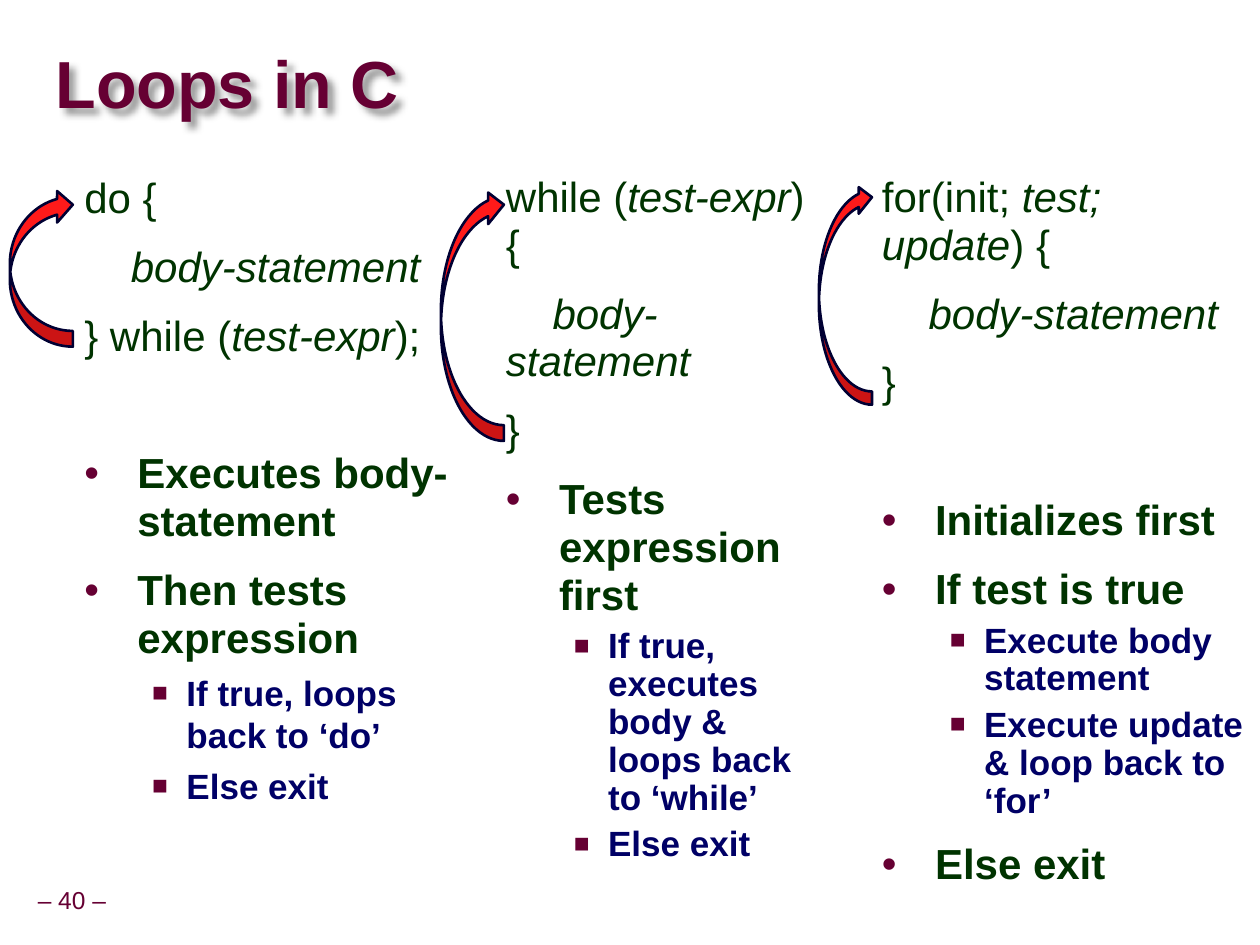
from dataclasses import dataclass
from typing import Optional

from lxml import etree
from pptx import Presentation
from pptx import util as u
from pptx.dml.color import RGBColor
from pptx.enum import shapes, text
from pptx.oxml import ns


@dataclass(frozen=True)
class Theme:
    font: str = "Arial"
    maroon: str = "660033"
    green: str = "003300"
    navy: str = "000066"
    arrow_fill: str = "FF1A1A"
    arrow_line: str = "000033"
    title: int = 38
    body: int = 24
    detail: int = 20
    footer: int = 14


T = Theme()


@dataclass(frozen=True)
class Style:
    """Paragraph format; lengths in cm, spacing in points."""
    size: int
    color: str
    bold: bool = False
    level: int = 0
    left: float = 0
    first: float = 0
    before: float = 0
    spacing: float = 0.95
    bullet: str = ""
    bullet_pct: int = 100
    align: Optional[text.PP_ALIGN] = None


@dataclass(frozen=True)
class Line:
    words: str  # asterisks enclose italics
    style: Style
    gap: float = 0  # extra points above


@dataclass(frozen=True)
class Box:
    left: float
    top: float
    width: float
    height: float

    def lengths(self) -> list:
        return [u.Cm(v) for v in (self.left, self.top, self.width, self.height)]


@dataclass(frozen=True)
class Loop:
    box: Box
    arrow: Box
    lines: tuple


TITLE = Style(T.title, T.maroon, bold=True, spacing=0.87)
FOOTER = Style(T.footer, T.maroon, spacing=0.9, align=text.PP_ALIGN.CENTER)
CODE = Style(T.body, T.green, before=12)
INNER = Style(T.body, T.green, before=12, first=0.94)
POINT = Style(T.body, T.green, bold=True, left=1.07, first=-1.07, before=12, bullet="•")
DETAIL_FORMAT = dict(size=T.detail, color=T.navy, bold=True, level=1, left=2.06,
                     first=-0.69, before=5, bullet="■", bullet_pct=75)
DETAIL = Style(spacing=0.9, **DETAIL_FORMAT)
LOOSE_DETAIL = Style(spacing=1.0, **DETAIL_FORMAT)
SECTION_GAP = 39.4  # one line of code and its spacing

TOP, HEIGHT = 3.38, 14.5
LOOPS = (
    Loop(Box(1.45, 3.4, 7.88, HEIGHT), Box(0.2, 3.81, 1.27, 3.18), (
        Line("do {", CODE),
        Line("*body-statement*", INNER),
        Line("} while (*test-expr*);", CODE),
        Line("Executes body-statement", POINT, SECTION_GAP),
        Line("Then tests expression", POINT),
        Line("If true, loops back to ‘do’", LOOSE_DETAIL),
        Line("Else exit", LOOSE_DETAIL),
    )),
    Loop(Box(9.95, TOP, 6.78, HEIGHT), Box(8.89, 3.81, 1.27, 5.08), (
        Line("while (*test-expr*) {", CODE),
        Line("*body-statement*", INNER),
        Line("}", CODE),
        Line("Tests expression first", POINT),
        Line("If true, executes body & loops back to ‘while’", DETAIL),
        Line("Else exit", DETAIL),
    )),
    Loop(Box(17.53, TOP, 7.88, HEIGHT), Box(16.51, 3.71, 1.07, 4.45), (
        Line("for(init; *test; update*) {", CODE),
        Line("*body-statement*", INNER),
        Line("}", CODE),
        Line("Initializes first", POINT, SECTION_GAP),
        Line("If test is true", POINT),
        Line("Execute body statement", DETAIL),
        Line("Execute update & loop back to ‘for’", DETAIL),
        Line("Else exit", POINT),
    )),
)


def set_all(target, values: dict) -> None:
    for name, value in values.items():
        setattr(target, name, value)


def add_xml(parent, tag: str, **attrs):
    return etree.SubElement(parent, ns.qn(tag), attrs)


def format_paragraph(p, style: Style, before: float) -> None:
    set_all(p, dict(level=style.level, line_spacing=style.spacing,
                    space_before=u.Pt(before), alignment=style.align))
    pPr = p._p.get_or_add_pPr()
    pPr.set("marL", str(u.Cm(style.left)))
    pPr.set("indent", str(u.Cm(style.first)))
    if style.bullet:
        add_xml(add_xml(pPr, "a:buClr"), "a:srgbClr", val=T.maroon)
        add_xml(pPr, "a:buSzPct", val=str(style.bullet_pct * 1000))
        add_xml(pPr, "a:buFont", typeface=T.font)
        add_xml(pPr, "a:buChar", char=style.bullet)


def add_text(slide, box: Box, lines: tuple, inset: tuple = (0.25, 0.13),
             anchor=text.MSO_ANCHOR.TOP, wrap: bool = True):
    sp = slide.shapes.add_textbox(*box.lengths())
    tf = sp.text_frame
    x, y = (u.Cm(v) for v in inset)
    set_all(tf, dict(word_wrap=wrap, vertical_anchor=anchor, margin_left=x,
                     margin_right=x, margin_top=y, margin_bottom=y))
    for i, line in enumerate(lines):
        style = line.style
        p = tf.add_paragraph() if i else tf.paragraphs[0]
        format_paragraph(p, style, style.before + line.gap if i else 0)
        for j, part in enumerate(line.words.split("*")):
            if part:
                r = p.add_run()
                r.text = part
                set_all(r.font, dict(name=T.font, size=u.Pt(style.size),
                                     bold=style.bold, italic=j % 2 == 1))
                r.font.color.rgb = RGBColor.from_string(style.color)
    return sp


def add_text_shadow(sp) -> None:
    effects = add_xml(sp._element.spPr, "a:effectLst")
    shadow = add_xml(effects, "a:outerShdw", blurRad="50800", dist="50800",
                     dir="2700000", algn="tl", rotWithShape="0")
    add_xml(add_xml(shadow, "a:srgbClr", val="000000"), "a:alpha", val="40000")


def add_loop_arrow(slide, box: Box) -> None:
    sp = slide.shapes.add_shape(shapes.MSO_SHAPE.CURVED_LEFT_ARROW, *box.lengths())
    sp.shadow.inherit = False
    sp.fill.solid()
    sp.fill.fore_color.rgb = RGBColor.from_string(T.arrow_fill)
    sp.line.color.rgb = RGBColor.from_string(T.arrow_line)
    sp.line.width = u.Pt(1.5)
    for flip in ("flipH", "flipV"):
        sp._element.spPr.xfrm.set(flip, "1")


def main() -> None:
    prs = Presentation()
    set_all(prs, dict(slide_width=u.Cm(25.4), slide_height=u.Cm(19.05)))
    s = prs.slides.add_slide(prs.slide_layouts[6])

    # Page number and title
    middle = text.MSO_ANCHOR.MIDDLE
    add_text(s, Box(0.61, 17.78, 1.68, 0.79), (Line("– 40 –", FOOTER),),
             (0.13, 0.13), middle, wrap=False)
    title = add_text(s, Box(1.12, 0.69, 24.2, 2.16), (Line("Loops in C", TITLE),),
                     (0, 0), middle)
    add_text_shadow(title)

    # One column per loop, each with its arrow back to the top
    for loop in LOOPS:
        add_text(s, loop.box, loop.lines)
        add_loop_arrow(s, loop.arrow)

    prs.save("out.pptx")


if __name__ == "__main__":
    main()
